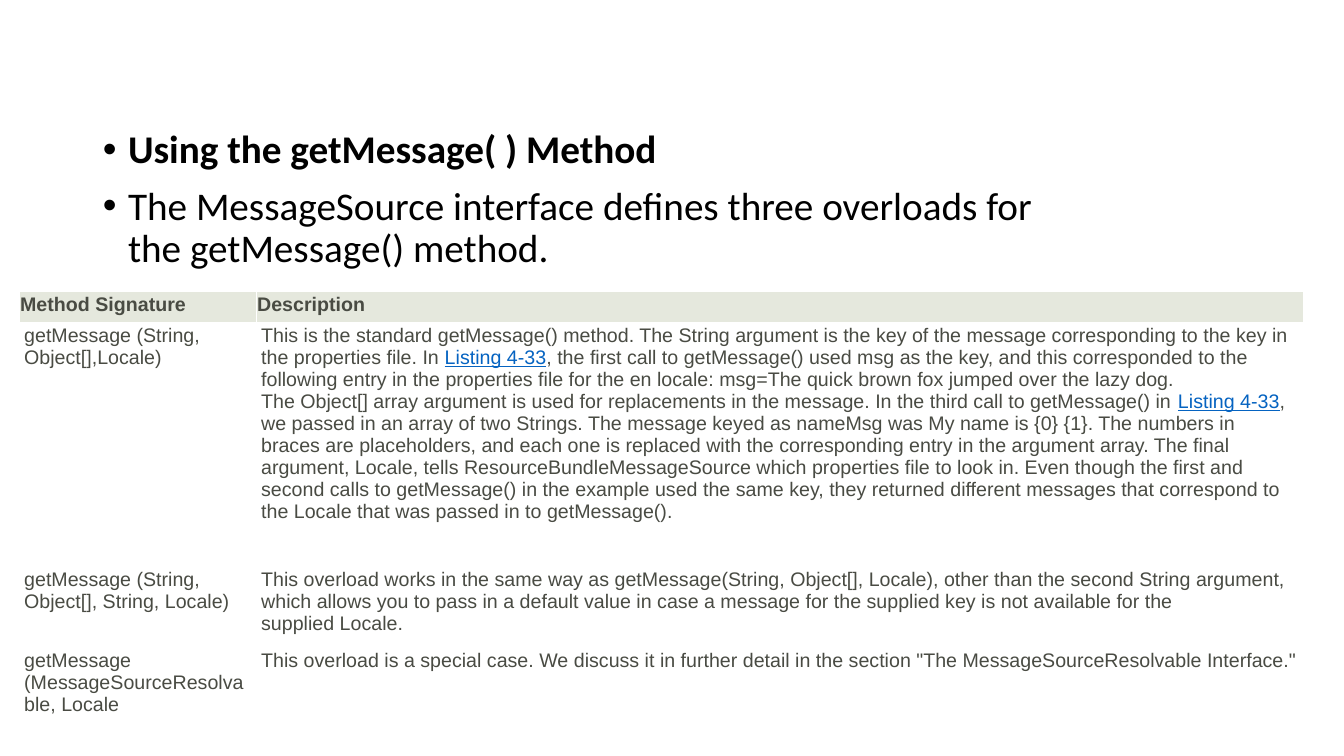
from lxml.etree import SubElement
from pptx import Presentation
from pptx.dml.color import RGBColor
from pptx.enum.text import MSO_ANCHOR, MSO_AUTO_SIZE, PP_ALIGN
from pptx.oxml.ns import qn
from pptx.util import Inches, Pt

TEXT, LINK, HEADER_FILL, WHITE = "494B43", "0563C1", "E5E8DD", "FFFFFF"
LISTING = "Listing 4-33"
NBSP = chr(160)  # written as ~ in the wording below


def rgb(color):
    return RGBColor.from_string(color)


def style(run, font, size, color, bold=False, underline=False):
    run.font.name, run.font.size = font, Pt(size)
    run.font.bold, run.font.underline = bold, underline
    run.font.color.rgb = rgb(color)


prs = Presentation()
prs.slide_width, prs.slide_height = Inches(13.33), Inches(7.5)
slide = prs.slides.add_slide(prs.slide_layouts[1])
title = slide.shapes.title
title.element.getparent().remove(title.element)

# Introductory bullets
intro = slide.placeholders[1]
intro.left, intro.top = Inches(0.92), Inches(1.24)
intro.width, intro.height = Inches(11.5), Inches(5.52)
intro_frame = intro.text_frame
intro_frame.text = (
    "Using the getMessage( ) Method\n"
    "The~MessageSource~interface defines three overloads for "
    "the~getMessage()~method.~").replace("~", NBSP)
intro_frame.word_wrap = True
intro_frame.auto_size = MSO_AUTO_SIZE.NONE
intro_frame.vertical_anchor = MSO_ANCHOR.TOP
for number, bullet in enumerate(intro_frame.paragraphs):
    bullet.alignment = PP_ALIGN.LEFT
    bullet.line_spacing, bullet.space_before = 0.9, Pt(10)
    props = bullet._p.get_or_add_pPr()
    props.set("marL", str(Inches(0.25)))
    props.set("indent", str(Inches(-0.25)))
    SubElement(props, qn("a:buFont"), typeface="Arial")
    SubElement(props, qn("a:buChar"), char="•")
    style(bullet.runs[0], "Calibri", 28, "000000", bold=number == 0)

# Overloads: signature and description, each description as a list of runs
overloads = [
    ("Method Signature", ["Description"]),
    ("getMessage (String, Object[],Locale)", [
        "This is the standard~getMessage()~method. The~String~argument is the key of the "
        "message corresponding to the key in the properties file. In~",
        LISTING,
        ", the first call to~getMessage()~used~msg~as the key, and this corresponded to the "
        "following entry in the properties file for the~en locale: msg=The quick brown fox "
        "jumped over the lazy dog. The~Object[]~array argument is used for replacements in "
        "the message. In the third call to~getMessage()~in~",
        LISTING,
        ", we passed in an array of two~Strings. The message keyed as~nameMsg~was My~name is "
        "{0} {1}. The numbers in braces are placeholders, and each one is replaced with the "
        "corresponding entry in the argument array. The final argument,~Locale, tells~"
        "ResourceBundleMessageSource~which properties file to look in. Even though the first "
        "and second calls to~getMessage()~in the example used the same key, they returned "
        "different messages that correspond to the~Locale~that was passed in to~getMessage()."]),
    ("getMessage (String, Object[], String, Locale)", [
        "This overload works in the same way as~getMessage(String, Object[], Locale), other "
        "than the second~String~argument, which allows you to pass in a default value in case "
        "a message for the supplied key is not available for the supplied~Locale."]),
    ("getMessage (MessageSourceResolvable, Locale", [
        "This overload is a special case. We discuss it in further detail in the section "
        '"The MessageSourceResolvable Interface."']),
]
column_widths = [2.35, 10.39]
row_heights = [0.31, 2.42, 0.81, 0.55]

table = slide.shapes.add_table(
    len(row_heights), len(column_widths), Inches(0.19), Inches(2.89),
    Inches(sum(column_widths)), Inches(sum(row_heights))).table
for column, width in zip(table.columns, column_widths):
    column.width = Inches(width)
for row, height in zip(table.rows, row_heights):
    row.height = Inches(height)

for r, (signature, description) in enumerate(overloads):
    is_header = r == 0
    for c, pieces in enumerate([[signature], description]):
        cell = table.cell(r, c)
        cell.margin_left = cell.margin_right = Inches(0.01 if is_header else 0.05)
        cell.margin_top = cell.margin_bottom = Inches(0.02)
        cell.vertical_anchor = MSO_ANCHOR.TOP
        paragraph = cell.text_frame.paragraphs[0]
        for piece in pieces:
            run = paragraph.add_run()
            run.text = piece.replace("~", NBSP)
            is_link = piece == LISTING
            style(run, "Arial", 14, LINK if is_link else TEXT, is_header, is_link)

        # Thin white borders come before the fill in the cell properties
        cell_props = cell._tc.get_or_add_tcPr()
        for side in ("a:lnL", "a:lnR", "a:lnT", "a:lnB"):
            border = SubElement(cell_props, qn(side), w=str(Pt(0.75)))
            border_fill = SubElement(border, qn("a:solidFill"))
            SubElement(border_fill, qn("a:srgbClr"), val=WHITE)
        cell.fill.solid()
        cell.fill.fore_color.rgb = rgb(HEADER_FILL if is_header else WHITE)

prs.save("out.pptx")
